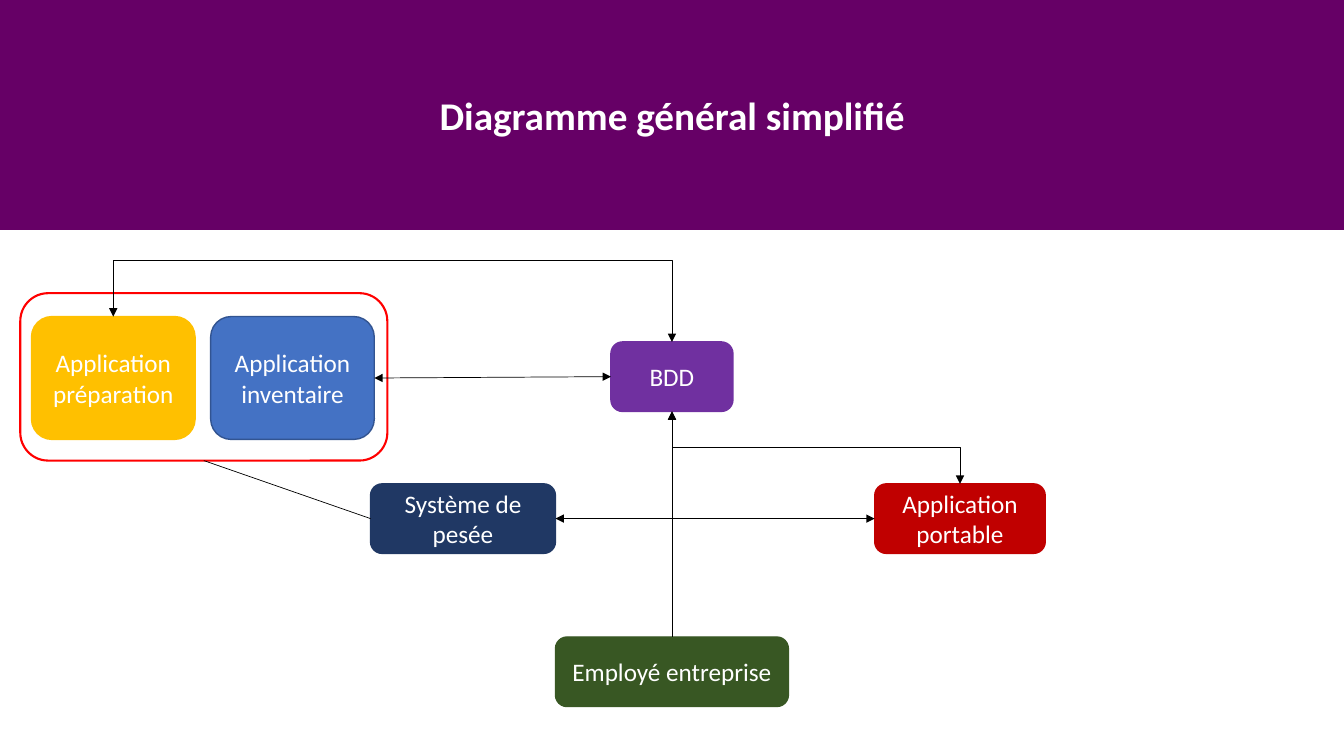
import pptx
import pptx.dml.color
import pptx.enum.shapes
import pptx.enum.text
import pptx.oxml
import pptx.oxml.ns
import pptx.util

Pt = pptx.util.Pt
SHAPES = pptx.enum.shapes.MSO_SHAPE
CONNECTORS = pptx.enum.shapes.MSO_CONNECTOR
TOP, LEFT, BOTTOM, RIGHT = range(4)
BOX_HEIGHT = 49.7
APPLICATION_SIZE = (116.9, 87.8)

# name: (text, (left, top, width, height), fill, line)
BOXES = {
    "employee": ("Employé entreprise", (396.8, 455, 166.4, BOX_HEIGHT), "385723", "385723"),
    "weighing": ("Système de pesée", (264.7, 345.6, 132.1, BOX_HEIGHT), "203864", "203864"),
    "database": ("BDD", (436.4, 244.2, 87.2, BOX_HEIGHT), "7030A0", "7030A0"),
    "portable": ("Application portable", (624.8, 345.6, 121.8, BOX_HEIGHT), "C00000", "C00000"),
    "inventory": ("Application inventaire", (150.5, 226.1, *APPLICATION_SIZE), "4472C4", "325491"),
    "preparation": ("Application préparation", (22.5, 226.1, *APPLICATION_SIZE), "FFC000", "FFC000"),
}

# (from, side, to, side, arrowheads)
STRAIGHT_LINKS = [
    ("weighing", LEFT, "frame", BOTTOM, ()),
    ("employee", TOP, "database", BOTTOM, ("tailEnd",)),
    ("inventory", RIGHT, "database", LEFT, ("headEnd", "tailEnd")),
]

# (from, side, to, side, arrowheads, preset, bend position)
ELBOW_LINKS = [
    ("employee", TOP, "weighing", RIGHT, ("tailEnd",), "bentConnector2", None),
    ("employee", TOP, "portable", LEFT, ("tailEnd",), "bentConnector2", None),
    ("database", BOTTOM, "portable", TOP, ("headEnd", "tailEnd"), "bentConnector3", 0.5),
    ("preparation", TOP, "database", TOP, ("headEnd", "tailEnd"), "bentConnector3", -2.2),
]


def color(value):
    return pptx.dml.color.RGBColor.from_string(value)


def set_attributes(target, values):
    for name, value in values.items():
        setattr(target, name, value)


def add_child(parent, tag, **attributes):
    child = pptx.oxml.parse_xml(f"<a:{tag} {pptx.oxml.ns.nsdecls('a')}/>")
    for name, value in attributes.items():
        child.set(name, value)
    parent.append(child)


def add_box(slide, preset, position, fill, line, line_width=1):
    shape = slide.shapes.add_shape(preset, *map(Pt, position))
    shape.shadow.inherit = False
    if fill:
        shape.fill.solid()
        shape.fill.fore_color.rgb = color(fill)
    else:
        shape.fill.background()
    shape.line.color.rgb = color(line)
    shape.line.width = Pt(line_width)
    return shape


def write_text(shape, text, size, bold=False):
    set_attributes(shape.text_frame, {
        "word_wrap": True,
        "vertical_anchor": pptx.enum.text.MSO_ANCHOR.MIDDLE,
    })
    paragraph = shape.text_frame.paragraphs[0]
    paragraph.alignment = pptx.enum.text.PP_ALIGN.CENTER
    run = paragraph.add_run()
    run.text = text
    set_attributes(run.font, {"name": "Calibri", "size": Pt(size), "bold": bold})
    run.font.color.rgb = color("FFFFFF")


def add_link(slide, kind, start, start_side, end, end_side, arrowheads):
    connector = slide.shapes.add_connector(kind, 0, 0, 0, 0)
    connector.begin_connect(start, start_side)
    connector.end_connect(end, end_side)
    connector.line.color.rgb = color("000000")
    connector.line.width = Pt(0.5)
    line = connector.line._get_or_add_ln()
    for arrowhead in arrowheads:
        add_child(line, arrowhead, type="triangle")
    add_child(connector._element.spPr, "effectLst")
    return connector


def route_elbow(connector, preset, bend):
    """Turn the elbow a quarter so that it leaves its first box vertically."""
    across = connector.end_x - connector.begin_x
    down = connector.end_y - connector.begin_y
    center_x = (connector.begin_x + connector.end_x) // 2
    center_y = (connector.begin_y + connector.end_y) // 2
    width, height = abs(down), abs(across)
    set_attributes(connector, {
        "left": center_x - width // 2,
        "top": center_y - height // 2,
        "width": width,
        "height": height,
    })
    properties = connector._element.spPr
    transform = properties.find(pptx.oxml.ns.qn("a:xfrm"))
    transform.set("rot", "16200000")
    transform.set("flipH", str(int(down > 0)))
    transform.set("flipV", str(int(across < 0)))
    geometry = properties.find(pptx.oxml.ns.qn("a:prstGeom"))
    geometry.set("prst", preset)
    if bend is not None:
        guides = geometry.find(pptx.oxml.ns.qn("a:avLst"))
        add_child(guides, "gd", name="adj1", fmla=f"val {round(bend * 100000)}")


def main():
    presentation = pptx.Presentation()
    set_attributes(presentation, {"slide_width": Pt(960), "slide_height": Pt(540)})
    slide = presentation.slides.add_slide(presentation.slide_layouts[6])

    banner = add_box(slide, SHAPES.RECTANGLE, (0, 0, 960, 164), "660066", "660066")
    write_text(banner, "Diagramme général simplifié", 28, bold=True)

    shapes = {}
    for name, (text, position, fill, line) in BOXES.items():
        shapes[name] = add_box(slide, SHAPES.ROUNDED_RECTANGLE, position, fill, line)
        write_text(shapes[name], text, 18)
    shapes["frame"] = add_box(
        slide, SHAPES.ROUNDED_RECTANGLE, (14.5, 209.4, 262.2, 119.6), None, "FF0000", 1.5)

    for start, start_side, end, end_side, arrowheads in STRAIGHT_LINKS:
        add_link(slide, CONNECTORS.STRAIGHT, shapes[start], start_side,
                 shapes[end], end_side, arrowheads)
    for start, start_side, end, end_side, arrowheads, preset, bend in ELBOW_LINKS:
        connector = add_link(slide, CONNECTORS.ELBOW, shapes[start], start_side,
                             shapes[end], end_side, arrowheads)
        route_elbow(connector, preset, bend)

    presentation.save("out.pptx")


if __name__ == "__main__":
    main()
